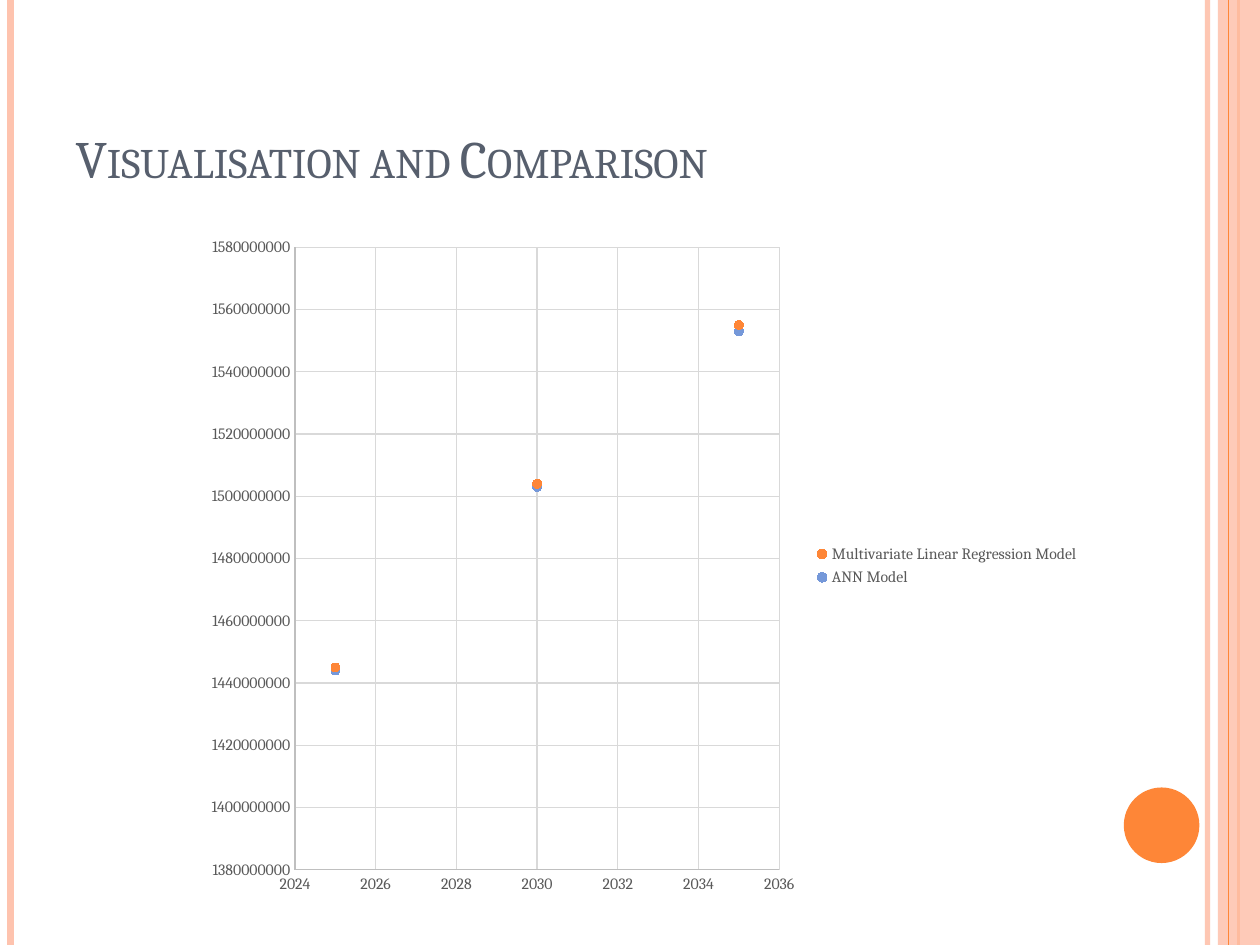
from lxml import etree
from pptx import Presentation
from pptx.chart.data import XyChartData
from pptx.dml.color import RGBColor
from pptx.enum.chart import XL_CHART_TYPE, XL_LEGEND_POSITION, XL_MARKER_STYLE, XL_TICK_MARK
from pptx.enum.shapes import MSO_CONNECTOR, MSO_SHAPE
from pptx.enum.text import MSO_ANCHOR, PP_ALIGN
from pptx.oxml.ns import qn
from pptx.util import Pt

SCATTER = XL_CHART_TYPE.XY_SCATTER
LEGEND_RIGHT = XL_LEGEND_POSITION.RIGHT
CIRCLE = XL_MARKER_STYLE.CIRCLE
NO_TICK = XL_TICK_MARK.NONE
STRAIGHT = MSO_CONNECTOR.STRAIGHT
RECTANGLE, OVAL = MSO_SHAPE.RECTANGLE, MSO_SHAPE.OVAL
BOTTOM, LEFT = MSO_ANCHOR.BOTTOM, PP_ALIGN.LEFT

# Content
WIDTH, HEIGHT = 720, 540
FONT = "Cambria"
ORANGE, PEACH, GREY = "FE8637", "FEC3AE", "595959"
TITLE = "Visualisation and Comparison"
MILLION = 1000000
YEARS = (2025, 2030, 2035)
# Populations in millions
MODELS = [
    ("Multivariate Linear Regression Model", ORANGE, (1445, 1504, 1555)),
    ("ANN Model", "7598D9", (1444, 1503, 1553)),
]
YEAR_SCALE = (2024, 2036, 2)
POPULATION_SCALE = (1380 * MILLION, 1580 * MILLION, 20 * MILLION)
# Left, top, width, height on the slide
CHART_BOX = (110.5, 128.2, 513.4, 390.2)
PLOT_BOX = (168.6, 141.3, 276.7, 355.8)
# x, colour, weight, opacity in percent
STRIPES_BEHIND = [(690, PEACH, 3, 93), (6, PEACH, 4.5, 100), (707.8, ORANGE, 1.5, 100)]
STRIPE_FRONT = (702, ORANGE, 0.75, 100)


def paint(color_format, color):
    color_format.rgb = RGBColor.from_string(color)


def fade(properties, opacity):
    if opacity < 100:
        color = next(properties.iter(qn("a:srgbClr")))
        etree.SubElement(color, qn("a:alpha")).set("val", str(opacity * 1000))


def style_line(line, color, weight):
    paint(line.color, color)
    line.width = Pt(weight)


def style_font(font, size, color):
    font.name, font.size = FONT, Pt(size)
    paint(font.color, color)


def add_stripe(x, color, weight, opacity):
    stripe = slide.shapes.add_connector(STRAIGHT, Pt(x), 0, Pt(x), Pt(HEIGHT))
    style_line(stripe.line, color, weight)
    properties = stripe._element.spPr
    fade(properties, opacity)
    etree.SubElement(properties, qn("a:effectLst"))


def add_solid(kind, box, color, opacity=100):
    solid = slide.shapes.add_shape(kind, *map(Pt, box))
    solid.shadow.inherit = False
    solid.fill.solid()
    paint(solid.fill.fore_color, color)
    solid.line.fill.background()
    fade(solid._element.spPr, opacity)


deck = Presentation()
deck.slide_width, deck.slide_height = Pt(WIDTH), Pt(HEIGHT)
slide = deck.slides.add_slide(deck.slide_layouts[5])

# Side decoration
for stripe_values in STRIPES_BEHIND:
    add_stripe(*stripe_values)
add_solid(RECTANGLE, (696, 0, 24, HEIGHT), PEACH, 87)
add_stripe(*STRIPE_FRONT)
add_solid(OVAL, (642.2, 450, 43.2, 43.2), ORANGE)

# Title
title = slide.shapes.title
title.left, title.top, title.width, title.height = map(Pt, (36, 21.6, 588, 90))
title.text_frame.vertical_anchor = BOTTOM
heading = title.text_frame.paragraphs[0]
heading.alignment = LEFT
heading_run = heading.add_run()
heading_run.text = TITLE
style_font(heading_run.font, 30, "575F6D")
heading_run._r.get_or_add_rPr().set("cap", "small")

# Chart
forecast = XyChartData()
for name, _, populations in MODELS:
    model = forecast.add_series(name)
    for year, population in zip(YEARS, populations):
        model.add_data_point(year, population * MILLION)
chart = slide.shapes.add_chart(SCATTER, *map(Pt, CHART_BOX), forecast).chart
style_font(chart.font, 10, "000000")
chart.has_title = False
chart.has_legend = True
chart.legend.position = LEGEND_RIGHT
chart.legend.include_in_layout = False
style_font(chart.legend.font, 9, GREY)

# Axes
for axis, (low, high, step) in ((chart.category_axis, YEAR_SCALE),
                                (chart.value_axis, POPULATION_SCALE)):
    axis.minimum_scale, axis.maximum_scale, axis.major_unit = low, high, step
    axis.major_tick_mark = axis.minor_tick_mark = NO_TICK
    axis.has_major_gridlines = True
    style_line(axis.major_gridlines.format.line, "D9D9D9", 0.75)
    style_line(axis.format.line, "BFBFBF", 0.75)
    style_font(axis.tick_labels.font, 9, GREY)
    axis.tick_labels.number_format = "General"
    axis.tick_labels.number_format_is_linked = False

# Markers
for series, (_, color, _) in zip(chart.plots[0].series, MODELS):
    series.format.line.fill.background()
    marker = series.marker
    marker.style, marker.size = CIRCLE, 5
    marker.format.fill.solid()
    paint(marker.format.fill.fore_color, color)
    style_line(marker.format.line, color, 0.75)

# Plot position as shares of the chart
chart_left, chart_top, chart_width, chart_height = CHART_BOX
plot_left, plot_top, plot_width, plot_height = PLOT_BOX
plot_area = chart._chartSpace.chart.plotArea
for old_layout in plot_area.findall(qn("c:layout")):
    plot_area.remove(old_layout)
layout = etree.Element(qn("c:layout"))
plot_area.insert(0, layout)
manual = etree.SubElement(layout, qn("c:manualLayout"))
settings = {
    "layoutTarget": "inner", "xMode": "edge", "yMode": "edge",
    "x": (plot_left - chart_left) / chart_width,
    "y": (plot_top - chart_top) / chart_height,
    "w": plot_width / chart_width,
    "h": plot_height / chart_height,
}
for key, value in settings.items():
    etree.SubElement(manual, qn("c:" + key)).set("val", str(value))

deck.save("out.pptx")
